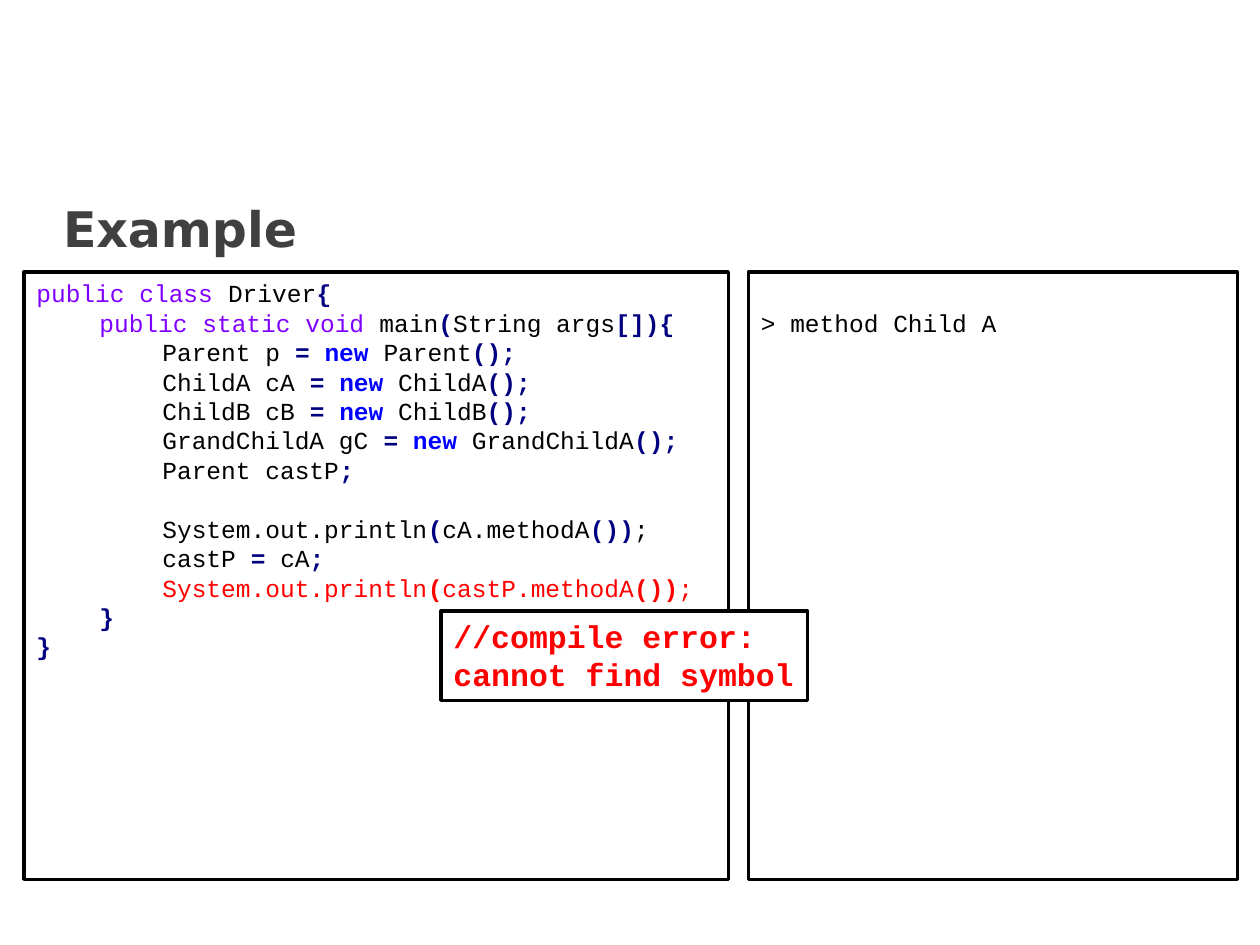
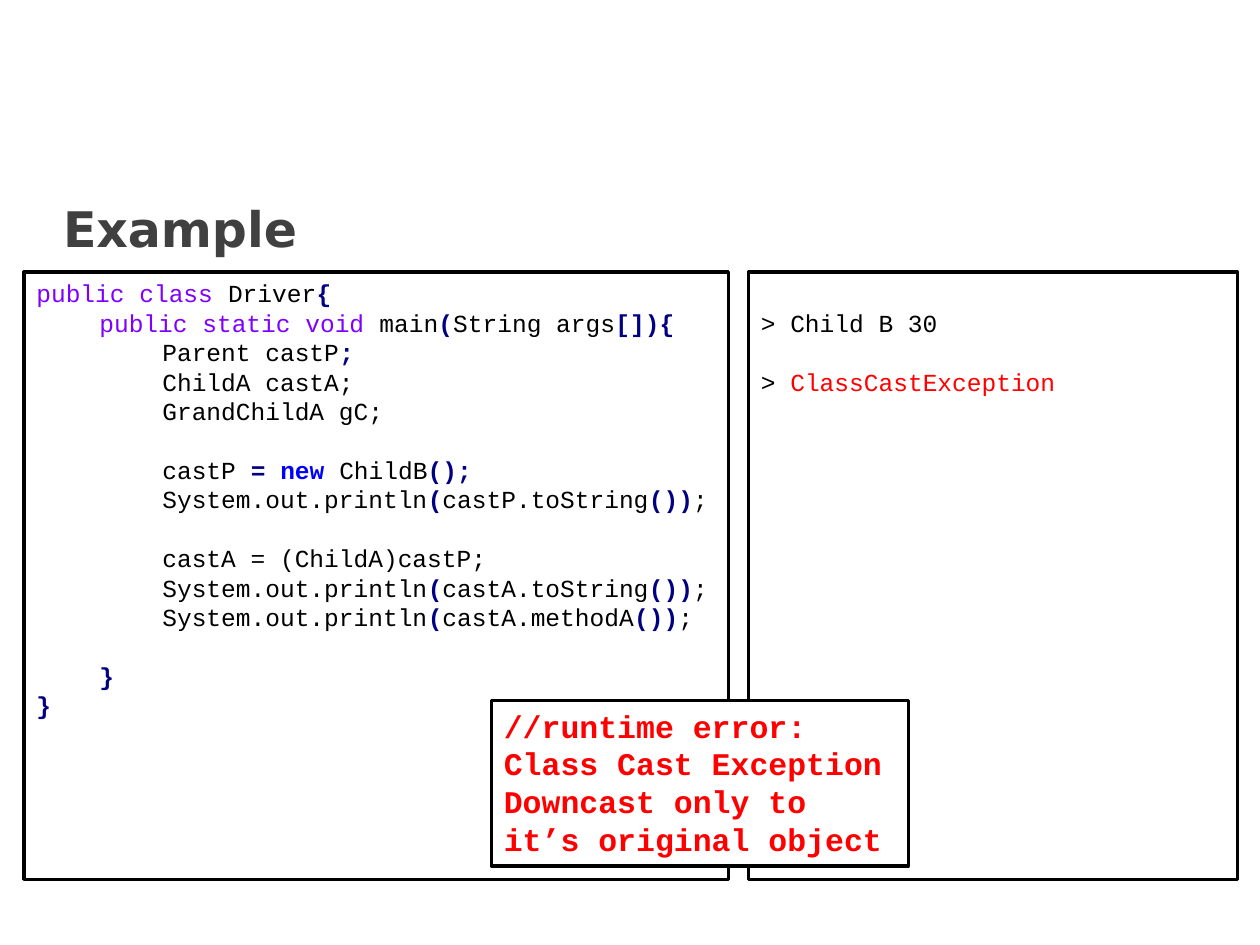
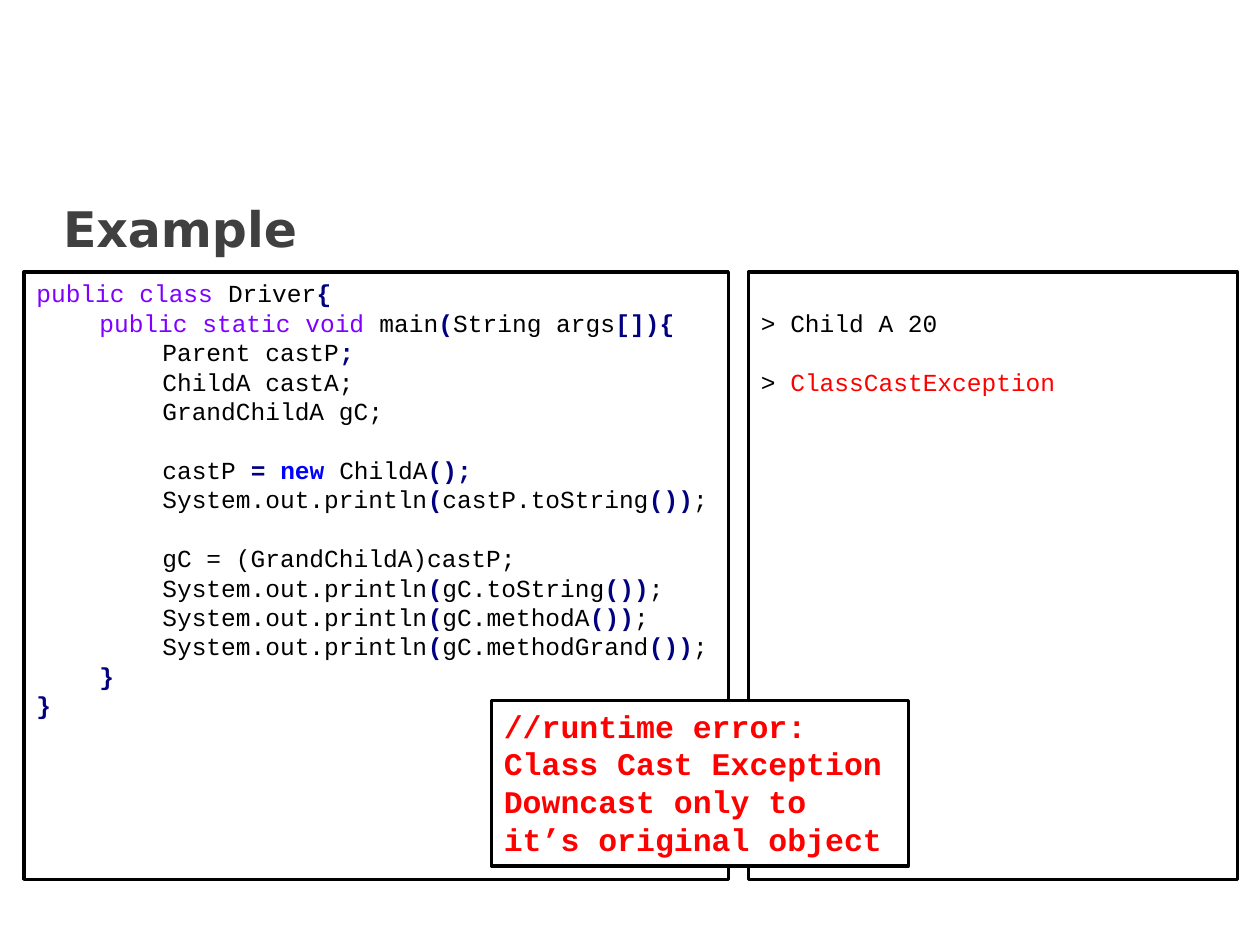
from pptx import Presentation
from pptx.dml.color import RGBColor
from pptx.enum.shapes import MSO_SHAPE
from pptx.enum.text import MSO_ANCHOR, MSO_AUTO_SIZE, PP_ALIGN
from pptx.util import Pt

RECTANGLE = MSO_SHAPE.RECTANGLE
TOP, MIDDLE = MSO_ANCHOR.TOP, MSO_ANCHOR.MIDDLE
LEFT = PP_ALIGN.LEFT
GROW = MSO_AUTO_SIZE.SHAPE_TO_FIT_TEXT

CODE_FONT = "Courier New"
TITLE_FONT = "DejaVu Sans"
BLACK, WHITE, GRAY, RED = "000000", "FFFFFF", "404040", "FF0000"

# Run styles: colour, bold
PLAIN = (BLACK, False)
KEYWORD = ("8000FF", False)
SYMBOL = ("000080", True)
NEW = ("0000FF", True)
ERROR = (RED, False)
ERROR_BOLD = (RED, True)

CODE_SIZE, CALLOUT_SIZE = 14, 18
CODE_LINE = 16.8
INDENT = 36
INSET_X, INSET_Y = 7.2, 3.6

# Left, top, width, height
TITLE_BOX = (28.8, 105.1, 655.9, 50.4)
CODE_BOX = (13.7, 155.5, 402.5, 347)
OUTPUT_BOX = (427.7, 155.5, 279.4, 347)
COMPILE_BOX = (252, 349.2, 209.5, 51)
RUNTIME_BOX = (280.8, 400.3, 238.3, 94.5)

# A line of text is (indent level, runs); BLANK leaves a line free above the next one.
BLANK = None
CLASS_HEAD = [
    (0, [("public class", KEYWORD), (" Driver", PLAIN), ("{", SYMBOL)]),
    (1, [("public static void", KEYWORD), (" main", PLAIN), ("(", SYMBOL),
         ("String args", PLAIN), ("[]){", SYMBOL)]),
]
CLASS_END = [(1, [("}", SYMBOL)]), (0, [("}", SYMBOL)])]
RUNTIME_ERROR = ["//runtime error:", "Class Cast Exception",
                 "Downcast only to it’s original object"]


def color(hex_string):
    return RGBColor.from_string(hex_string)


def plain(text):
    return 2, [(text, PLAIN)]


def declare(text):
    return 2, [(text, PLAIN), (";", SYMBOL)]


def create(variable, class_name):
    """Code line that assigns a new object."""
    return 2, [(variable + " ", PLAIN), ("= ", SYMBOL), ("new ", NEW),
               (class_name, PLAIN), ("();", SYMBOL)]


def print_call(call, text_style=PLAIN, symbol_style=SYMBOL):
    return 2, [("System.out.println", text_style), ("(", symbol_style),
               (call, text_style), ("())", symbol_style), (";", text_style)]


def printed(text, style=PLAIN):
    return 0, [("> ", PLAIN), (text, style)]


def add_title(slide, text):
    title = slide.shapes.title
    title.left, title.top, title.width, title.height = map(Pt, TITLE_BOX)
    title.text_frame.text = text
    title.text_frame.vertical_anchor = MIDDLE
    paragraph = title.text_frame.paragraphs[0]
    paragraph.alignment = LEFT
    font = paragraph.font
    font.name, font.size, font.bold = TITLE_FONT, Pt(28), True
    font.color.rgb = color(GRAY)


def add_box(slide, box):
    """Add a white, black-edged box and return its text frame."""
    shape = slide.shapes.add_shape(RECTANGLE, *map(Pt, box))
    shape.shadow.inherit = False
    shape.fill.solid()
    shape.fill.fore_color.rgb = color(WHITE)
    shape.line.color.rgb = color(BLACK)
    shape.line.width = Pt(2)
    frame = shape.text_frame
    frame.word_wrap = True
    frame.vertical_anchor = TOP
    frame.margin_left = frame.margin_right = Pt(INSET_X)
    frame.margin_top = frame.margin_bottom = Pt(INSET_Y)
    return frame


def next_paragraph(frame, is_first, size):
    paragraph = frame.paragraphs[0] if is_first else frame.add_paragraph()
    paragraph.alignment = LEFT
    paragraph.font.name, paragraph.font.size = CODE_FONT, Pt(size)
    return paragraph


def add_listing(slide, box, lines):
    frame = add_box(slide, box)
    is_first, gap = True, 0
    for line in lines:
        if line is BLANK:
            gap += CODE_LINE
            continue
        level, runs = line
        paragraph = next_paragraph(frame, is_first, CODE_SIZE)
        paragraph._p.get_or_add_pPr().set("marL", str(Pt(level * INDENT)))
        if is_first:
            frame.margin_top = Pt(INSET_Y + gap)
        else:
            paragraph.space_before = Pt(gap)
        for text, (run_color, bold) in runs:
            run = paragraph.add_run()
            run.text = text
            run.font.bold = bold
            run.font.color.rgb = color(run_color)
        is_first, gap = False, 0


def add_callout(slide, box, lines):
    frame = add_box(slide, box)
    frame.auto_size = GROW
    for index, text in enumerate(lines):
        paragraph = next_paragraph(frame, index == 0, CALLOUT_SIZE)
        paragraph.text = text
        paragraph.font.bold = True
        paragraph.font.color.rgb = color(RED)


def add_example(presentation, body, output, callout_box, callout):
    slide = presentation.slides.add_slide(presentation.slide_layouts[5])
    add_title(slide, "Example")
    add_listing(slide, OUTPUT_BOX, [BLANK] + output)
    add_listing(slide, CODE_BOX, CLASS_HEAD + body + CLASS_END)
    add_callout(slide, callout_box, callout)


def add_cast_example(presentation, class_name, cast, calls, output):
    """Add a slide whose downcast fails at run time."""
    body = [
        declare("Parent castP"), plain("ChildA castA;"), plain("GrandChildA gC;"), BLANK,
        create("castP", class_name), print_call("castP.toString"), BLANK,
        plain(cast),
    ] + [BLANK if call is BLANK else print_call(call) for call in calls]
    lines = [printed(output), BLANK, printed("ClassCastException", ERROR)]
    add_example(presentation, body, lines, RUNTIME_BOX, RUNTIME_ERROR)


def main():
    presentation = Presentation()
    presentation.slide_width, presentation.slide_height = Pt(720), Pt(540)

    compile_body = [
        create("Parent p", "Parent"), create("ChildA cA", "ChildA"),
        create("ChildB cB", "ChildB"), create("GrandChildA gC", "GrandChildA"),
        declare("Parent castP"), BLANK,
        print_call("cA.methodA"),
        (2, [("castP ", PLAIN), ("= ", SYMBOL), ("cA", PLAIN), (";", SYMBOL)]),
        print_call("castP.methodA", ERROR, ERROR_BOLD),
    ]
    add_example(presentation, compile_body, [printed("method Child A")],
                COMPILE_BOX, ["//compile error:", "cannot find symbol"])
    add_cast_example(presentation, "ChildB", "castA = (ChildA)castP;",
                     ["castA.toString", "castA.methodA", BLANK], "Child B 30")
    add_cast_example(presentation, "ChildA", "gC = (GrandChildA)castP;",
                     ["gC.toString", "gC.methodA", "gC.methodGrand"], "Child A 20")

    presentation.save("out.pptx")


if __name__ == "__main__":
    main()
